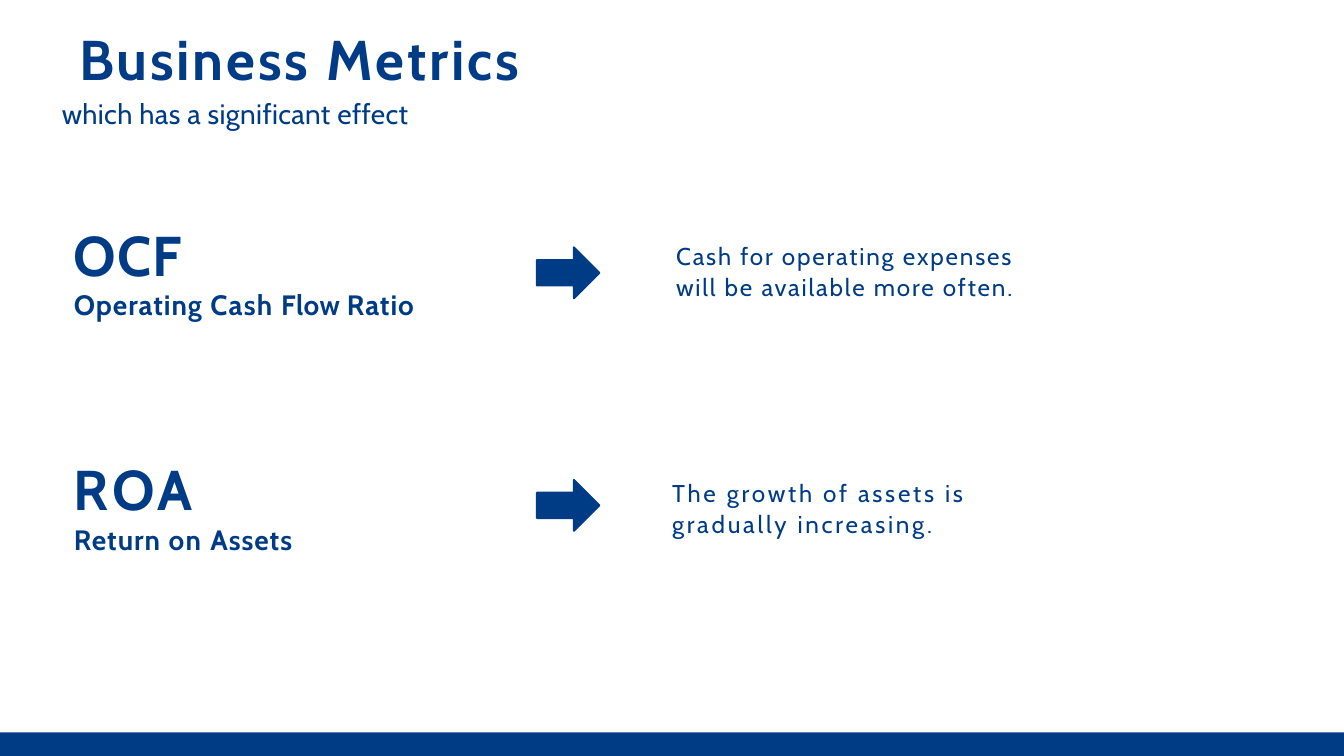
import pptx
import pptx.util
import pptx.dml.color
import pptx.enum.shapes
import pptx.enum.text

Inches = pptx.util.Inches
Pt = pptx.util.Pt
NAVY = "003C86"
FONT = "Cabin"


def color(code):
    return pptx.dml.color.RGBColor.from_string(code)


def add_text(slide, box, inset, lines):
    shape = slide.shapes.add_textbox(*[Inches(n) for n in box])
    frame = shape.text_frame
    frame.word_wrap = True
    frame.auto_size = pptx.enum.text.MSO_AUTO_SIZE.SHAPE_TO_FIT_TEXT
    frame.margin_left, frame.margin_top = Inches(inset[0]), Inches(inset[1])
    frame.margin_right = frame.margin_bottom = 0
    for i, (parts, size, bold, before) in enumerate(lines):
        para = frame.paragraphs[0] if i == 0 else frame.add_paragraph()
        para.space_before = Pt(before)
        for words, gap in parts:
            run = para.add_run()
            run.text = words
            run.font.name = FONT
            run.font.size = Pt(size)
            run.font.bold = bold
            run.font.color.rgb = color(NAVY)
            run._r.get_or_add_rPr().set("spc", str(round(gap * 100)))
    return frame


def add_solid(slide, kind, box, width=0):
    shape = slide.shapes.add_shape(kind, *[Inches(n) for n in box])
    shape.shadow.inherit = False
    shape.fill.solid()
    shape.fill.fore_color.rgb = color(NAVY)
    if width:
        shape.line.color.rgb = color(NAVY)
        shape.line.width = Pt(width)
    else:
        shape.line.fill.background()


def add_header(slide, box):
    frame = add_text(slide, box, (0, 0.16), [
        ([("Business Metrics", 3.05)], 60, True, 11.2),
        ([("which has a significant effect", 0.4)], 30, False, 5.2),
    ])
    frame.paragraphs[0].alignment = pptx.enum.text.PP_ALIGN.CENTER


def add_metric(slide, box, short, name, note, shift, drop):
    left, top, width, height = box
    add_text(slide, (left, top, 5.41, height), (0.02, 0.01),
             [([short], 60, True, 1), (name, 30, True, 0)])
    add_solid(slide, pptx.enum.shapes.MSO_SHAPE.RIGHT_ARROW,
              (left + 6.91, top + drop, 0.93, 0.76), 2)
    inner, fall = shift
    frame = add_text(slide, (left + inner, top + fall, width - inner, 1.4),
                     (0.01, 0.01), [([note], 26, False, 1)])
    frame.paragraphs[0].line_spacing = 1.08


def add_footer(slide, box):
    add_solid(slide, pptx.enum.shapes.MSO_SHAPE.RECTANGLE, box)


def main():
    deck = pptx.Presentation()
    deck.slide_width, deck.slide_height = Inches(20), Inches(11.25)
    slide = deck.slides.add_slide(deck.slide_layouts[6])
    add_footer(slide, (0, 10.9, 20, 0.35))
    add_header(slide, (0.92, 0.21, 7.07, 1.74))
    metrics = [
        (("OCF", 1.2),
         [("Operating ", 1.05), ("Cash ", 1.3), ("Flow ", 0.4), ("Ratio", 1.05)],
         ("Cash for operating expenses will be available more often.", 1.95),
         (8.97, 0.27), 0.41),
        (("ROA", 3.55),
         [("Return ", 1.05), ("on ", 1.5), ("Assets", 1.05)],
         ("The growth of assets is gradually increasing.", 2.95),
         (8.91, 0.31), 0.38),
    ]
    for i, metric in enumerate(metrics):
        add_metric(slide, (1.08, 3.27 + 3.49 * i, 14.59, 1.53), *metric)
    deck.save("out.pptx")


if __name__ == "__main__":
    main()
